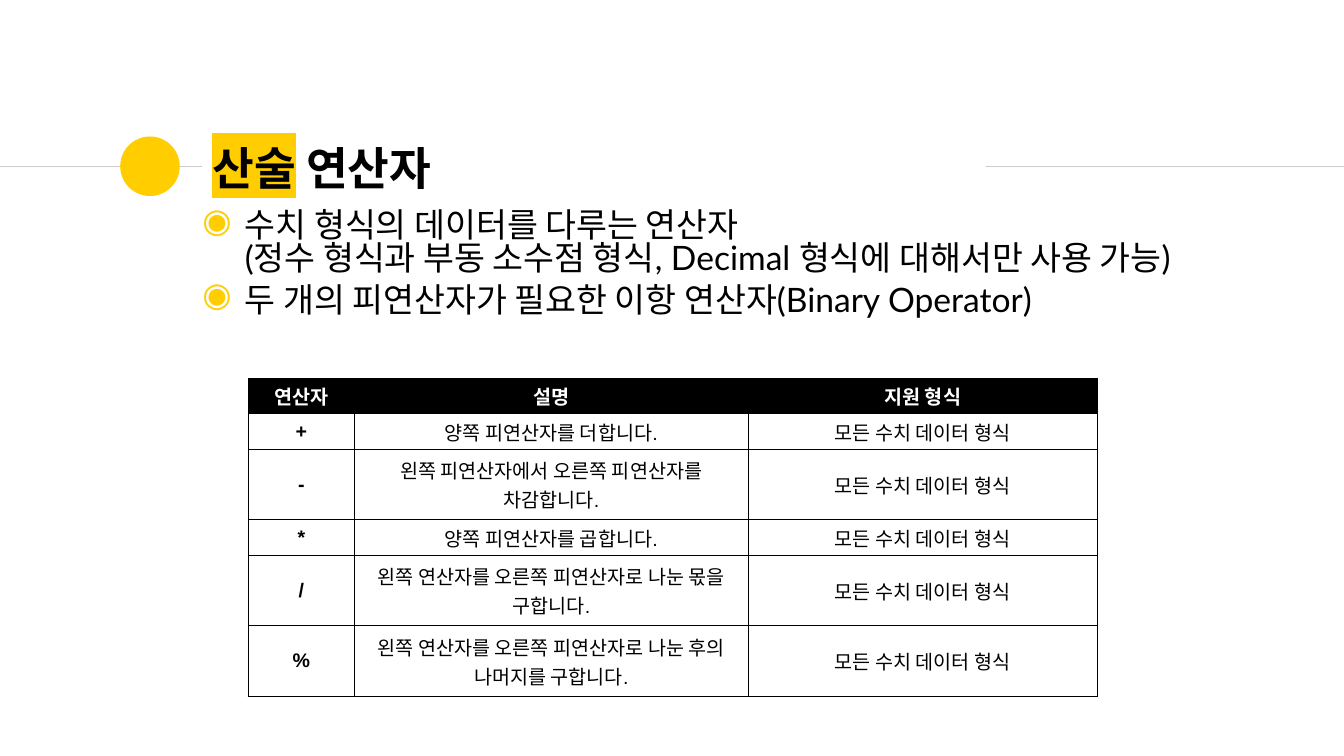
from lxml.etree import SubElement
from pptx import Presentation
from pptx.dml.color import RGBColor
from pptx.enum.shapes import MSO_CONNECTOR, MSO_SHAPE
from pptx.enum.text import MSO_ANCHOR, MSO_AUTO_SIZE, PP_ALIGN
from pptx.oxml.ns import qn
from pptx.util import Cm, Pt

BLACK = RGBColor(0x00, 0x00, 0x00)
WHITE = RGBColor(0xFF, 0xFF, 0xFF)
GOLD = RGBColor(0xFF, 0xCD, 0x00)
GRAY = RGBColor(0xCC, 0xCC, 0xCC)

POINTS = [
    "수치 형식의 데이터를 다루는 연산자\v"
    "(정수 형식과 부동 소수점 형식, Decimal 형식에 대해서만 사용 가능)",
    "두 개의 피연산자가 필요한 이항 연산자(Binary Operator)",
]
HEAD = ("연산자", "설명", "지원 형식")
KINDS = "모든 수치 데이터 형식"
# Sign, meaning, lines of text
SIGNS = [
    ("+", "양쪽 피연산자를 더합니다.", 1),
    ("-", "왼쪽 피연산자에서 오른쪽 피연산자를 차감합니다.", 2),
    ("*", "양쪽 피연산자를 곱합니다.", 1),
    ("/", "왼쪽 연산자를 오른쪽 피연산자로 나눈 몫을 구합니다.", 2),
    ("%", "왼쪽 연산자를 오른쪽 피연산자로 나눈 후의 나머지를 구합니다.", 2),
]


def paint(parent, tag, color):
    node = SubElement(parent, qn(tag))
    SubElement(node, qn("a:srgbClr"), val=str(color))
    return node


class Deck:
    title_font, body_font, cell_font = "TeX Gyre Pagella", "Lato", "Arial"
    inset = Cm(0.25)

    def __init__(self):
        self.file = Presentation()
        self.file.slide_width, self.file.slide_height = Cm(33.87), Cm(19.05)
        self.slide = self.file.slides.add_slide(self.file.slide_layouts[5])
        self.shapes = self.slide.shapes

    def style(self, para, name, size, color=BLACK, bold=False):
        font = para.font
        font.name, font.size, font.bold = name, Pt(size), bold
        font.color.rgb = color

    def pad(self, frame):
        frame.word_wrap = True
        frame.auto_size = MSO_AUTO_SIZE.NONE
        frame.margin_left = frame.margin_right = self.inset
        frame.margin_top = frame.margin_bottom = self.inset

    def rule(self, start, end, y):
        line = self.shapes.add_connector(
            MSO_CONNECTOR.STRAIGHT, Cm(start), Cm(y), Cm(end), Cm(y))
        line.line.color.rgb = GRAY
        line.line.width = Pt(0.75)
        SubElement(line._element.spPr, qn("a:effectLst"))

    def dot(self, x, y, size):
        dot = self.shapes.add_shape(
            MSO_SHAPE.OVAL, Cm(x), Cm(y), Cm(size), Cm(size))
        dot.shadow.inherit = False
        dot.fill.solid()
        dot.fill.fore_color.rgb = GOLD
        dot.line.fill.background()

    def title(self, box, marked, rest):
        title = self.shapes.title
        title.left, title.top, title.width, title.height = map(Cm, box)
        title.fill.solid()
        title.fill.fore_color.rgb = WHITE
        frame = title.text_frame
        self.pad(frame)
        frame.vertical_anchor = MSO_ANCHOR.MIDDLE
        para = frame.paragraphs[0]
        para.alignment = PP_ALIGN.LEFT
        para.line_spacing, para.space_before = 0.9, Pt(6)
        self.style(para, self.title_font, 32.4, bold=True)
        run = para.add_run()
        run.text = marked
        paint(run._r.get_or_add_rPr(), "a:highlight", GOLD)
        para.add_run().text = rest
        # Bring the title in front of the rules
        self.shapes._spTree.append(title._element)

    def bullets(self, box, items):
        frame = self.shapes.add_textbox(*map(Cm, box)).text_frame
        self.pad(frame)
        for i, item in enumerate(items):
            para = frame.add_paragraph() if i else frame.paragraphs[0]
            para.text = item
            para.line_spacing, para.space_before = 0.82, Pt(6)
            self.style(para, self.body_font, 24)
            props = para._p.get_or_add_pPr()
            props.set("marL", str(Cm(1.27)))
            props.set("indent", str(Cm(-1.07)))
            mark = paint(props, "a:buClr", GOLD)
            sign = SubElement(props, qn("a:buChar"), char="◉")
            # Bullet marks come before the default run style
            style = props.find(qn("a:defRPr"))
            if style is not None:
                style.addprevious(mark)
                style.addprevious(sign)

    def cell(self, cell, text, color, bold, fill):
        cell.text = text
        cell.vertical_anchor = MSO_ANCHOR.MIDDLE
        cell.margin_left = cell.margin_right = Cm(0.18)
        cell.margin_top = cell.margin_bottom = 0
        para = cell.text_frame.paragraphs[0]
        para.alignment = PP_ALIGN.CENTER
        self.style(para, self.cell_font, 14, color, bold)
        props = cell._tc.get_or_add_tcPr()
        for side in ("a:lnL", "a:lnR", "a:lnT", "a:lnB"):
            edge = SubElement(props, qn(side), w=str(Pt(0.75)))
            paint(edge, "a:solidFill", BLACK)
        cell.fill.solid()
        cell.fill.fore_color.rgb = fill

    def table(self, x, y, widths, heights, rows):
        table = self.shapes.add_table(
            len(rows), len(widths), Cm(x), Cm(y),
            Cm(sum(widths)), Cm(sum(heights))).table
        for col, width in zip(table.columns, widths):
            col.width = Cm(width)
        for r, row in enumerate(rows):
            table.rows[r].height = Cm(heights[r])
            color, fill = (BLACK, WHITE) if r else (WHITE, BLACK)
            for c, text in enumerate(row):
                self.cell(table.cell(r, c), text, color, r == 0 or c == 0, fill)


def main():
    deck = Deck()

    # Rules and dot beside the title
    deck.rule(0, 5.1, 4.19)
    deck.rule(19.5, 33.87, 4.19)
    deck.dot(3.03, 3.44, 1.5)

    # Title and points
    deck.title((5.1, 3.48, 19.74, 1.63), "산술", " 연산자")
    deck.bullets((4.65, 5.08, 29.2, 12.09), POINTS)

    # Table of operators
    rows = [HEAD] + [(sign, note, KINDS) for sign, note, _ in SIGNS]
    heights = [0.89] + [0.89 * lines for *_, lines in SIGNS]
    deck.table(6.25, 9.54, (2.69, 9.91, 8.81), heights, rows)

    deck.file.save("out.pptx")


if __name__ == "__main__":
    main()
